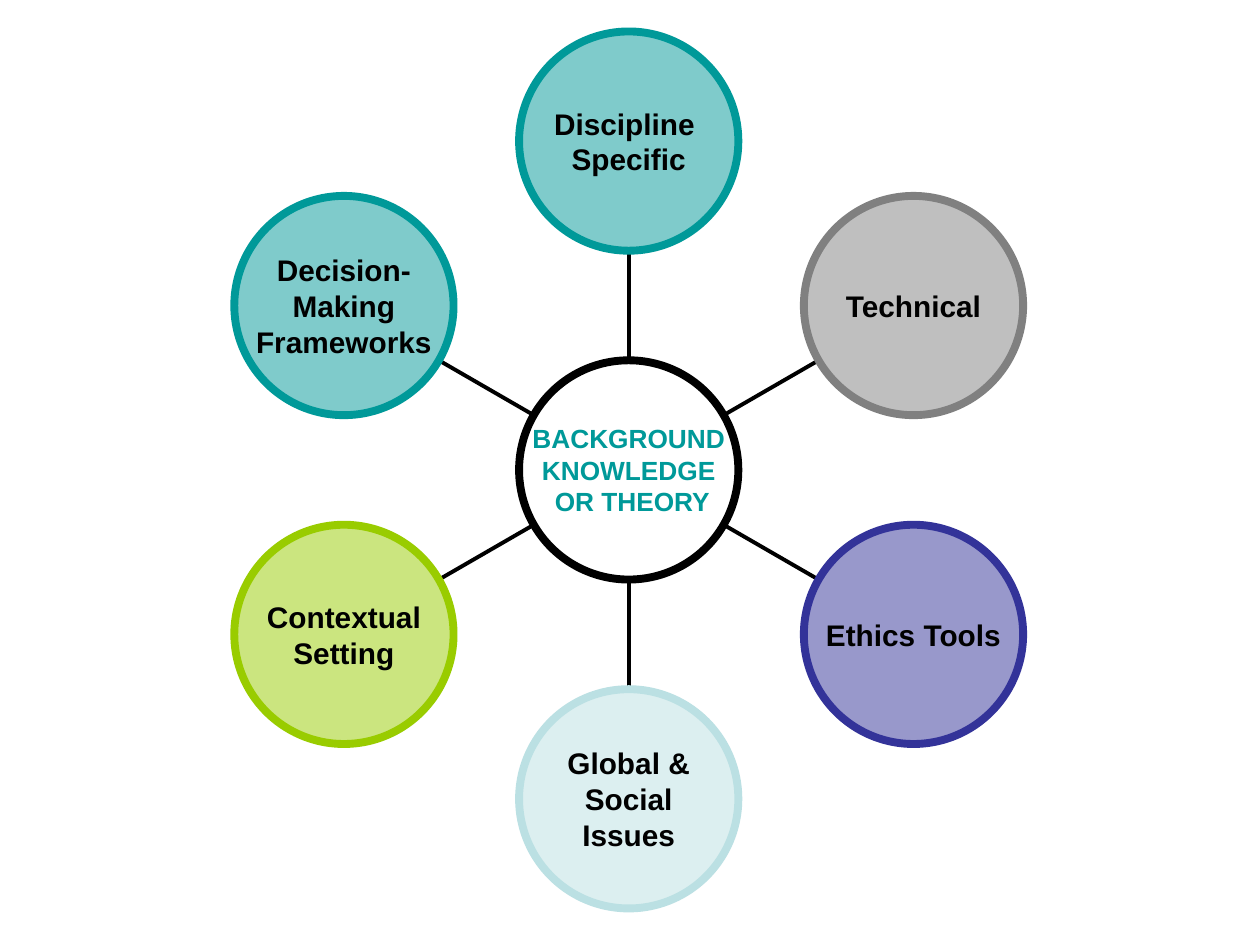
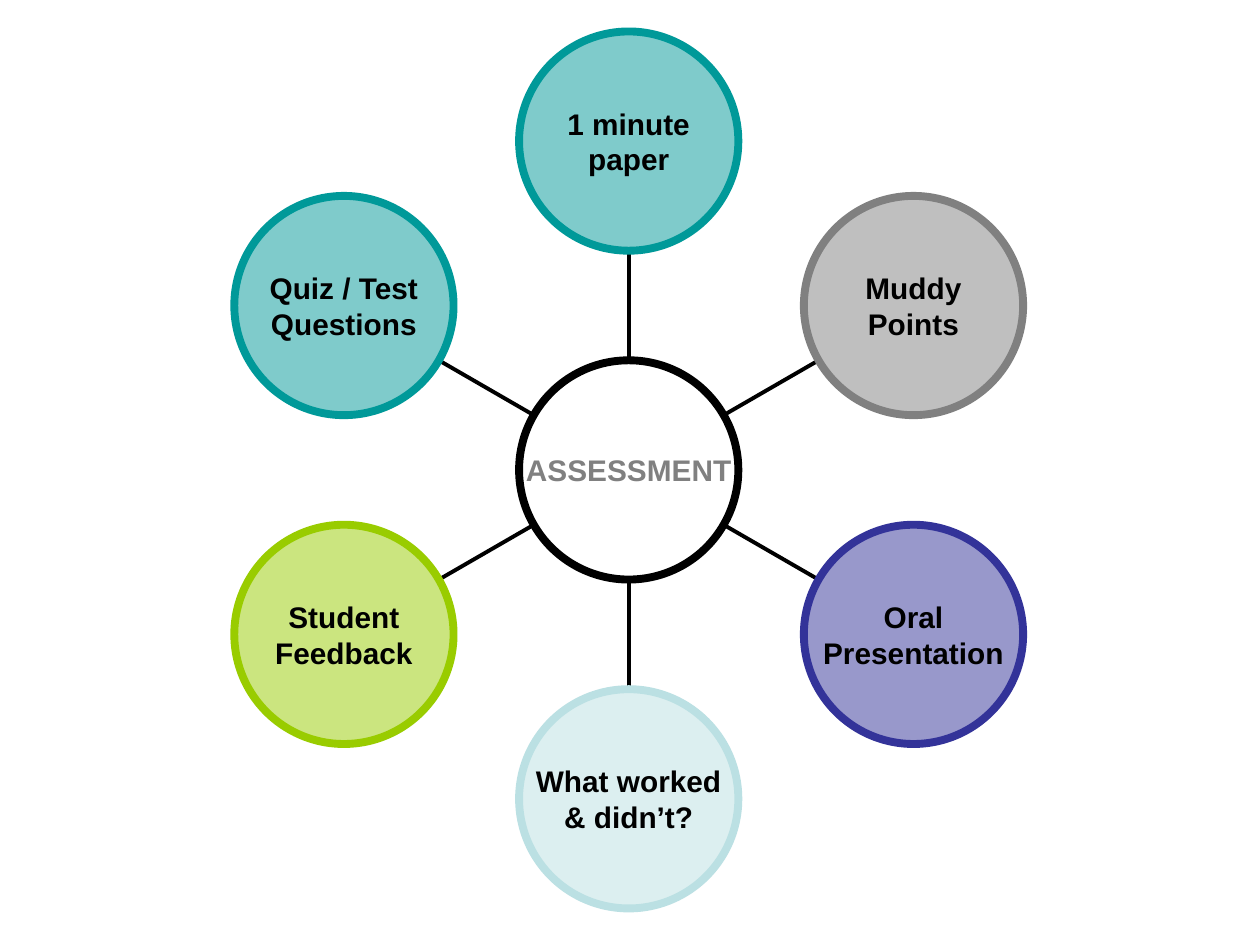
import math

import lxml.etree
import pptx
import pptx.dml.color
import pptx.enum.shapes
import pptx.enum.text
import pptx.oxml.ns
import pptx.util

Inches = pptx.util.Inches
Pt = pptx.util.Pt
RGBColor = pptx.dml.color.RGBColor
qn = pptx.oxml.ns.qn

BLACK = RGBColor(0x00, 0x00, 0x00)
WHITE = RGBColor(0xFF, 0xFF, 0xFF)
TEAL = RGBColor(0x00, 0x99, 0x99)
LIME = RGBColor(0x99, 0xCC, 0x00)
PALE_BLUE = RGBColor(0xBB, 0xE0, 0xE3)
INDIGO = RGBColor(0x33, 0x33, 0x99)
GRAY = RGBColor(0x80, 0x80, 0x80)

FONT = "Arial"
HUB_X, HUB_Y = 4.99, 3.73
RADIUS = 0.87
ORBIT = 3 * RADIUS
TOPIC_COLORS = [TEAL, LIME, PALE_BLUE, INDIGO, GRAY, TEAL]

WHEELS = [
    {
        "hub": "BACKGROUND\nKNOWLEDGE\n OR THEORY",
        "hub_size": 15,
        "hub_color": TEAL,
        "topics": [
            "Decision-\nMaking\nFrameworks",
            "Contextual\nSetting",
            "Global &\nSocial\nIssues",
            "Ethics Tools",
            "Technical",
            "Discipline \nSpecific",
        ],
    },
    {
        "hub": "ASSESSMENT",
        "hub_size": 17,
        "hub_color": GRAY,
        "topics": [
            "Quiz / Test\nQuestions",
            "Student\nFeedback",
            "What worked\n& didn’t?",
            "Oral\nPresentation",
            "Muddy\vPoints",
            "1 minute\npaper",
        ],
    },
]


def write_text(frame, text, *, size=17, color=BLACK):
    frame.word_wrap = False
    frame.vertical_anchor = pptx.enum.text.MSO_ANCHOR.MIDDLE
    frame.margin_left = frame.margin_right = 0
    frame.margin_top = frame.margin_bottom = 0
    frame.text = text
    for paragraph in frame.paragraphs:
        paragraph.alignment = pptx.enum.text.PP_ALIGN.CENTER
        for run in paragraph.runs:
            run.font.name = FONT
            run.font.size = Pt(size)
            run.font.bold = True
            run.font.color.rgb = color


def add_circle(wheel, x, y, fill, outline):
    circle = wheel.shapes.add_shape(
        pptx.enum.shapes.MSO_SHAPE.OVAL,
        Inches(x - RADIUS), Inches(y - RADIUS), Inches(2 * RADIUS), Inches(2 * RADIUS),
    )
    circle.shadow.inherit = False
    circle.fill.solid()
    circle.fill.fore_color.rgb = fill
    tint = circle.fill._xPr.find(qn("a:solidFill"))[0]
    lxml.etree.SubElement(tint, qn("a:alpha"), val="50000")
    circle.line.color.rgb = outline
    circle.line.width = Pt(4.5)
    return circle.text_frame


deck = pptx.Presentation()
deck.slide_width = Inches(10)
deck.slide_height = Inches(7.5)

for content in WHEELS:
    slide = deck.slides.add_slide(deck.slide_layouts[6])
    wheel = slide.shapes.add_group_shape()

    for position, (topic, color) in enumerate(zip(content["topics"], TOPIC_COLORS)):
        angle = math.radians(150 + 60 * position)
        across, down = math.cos(angle), -math.sin(angle)
        spoke = wheel.shapes.add_connector(
            pptx.enum.shapes.MSO_CONNECTOR.STRAIGHT,
            Inches(HUB_X + RADIUS * across), Inches(HUB_Y + RADIUS * down),
            Inches(HUB_X + 2 * RADIUS * across), Inches(HUB_Y + 2 * RADIUS * down),
        )
        spoke.line.color.rgb = BLACK
        spoke.line.width = Pt(2.25)
        lxml.etree.SubElement(spoke._element.spPr, qn("a:effectLst"))

        label = add_circle(wheel, HUB_X + ORBIT * across, HUB_Y + ORBIT * down, color, color)
        write_text(label, topic)

    hub_label = add_circle(wheel, HUB_X, HUB_Y, WHITE, BLACK)
    write_text(hub_label, content["hub"], size=content["hub_size"], color=content["hub_color"])

deck.save("out.pptx")
